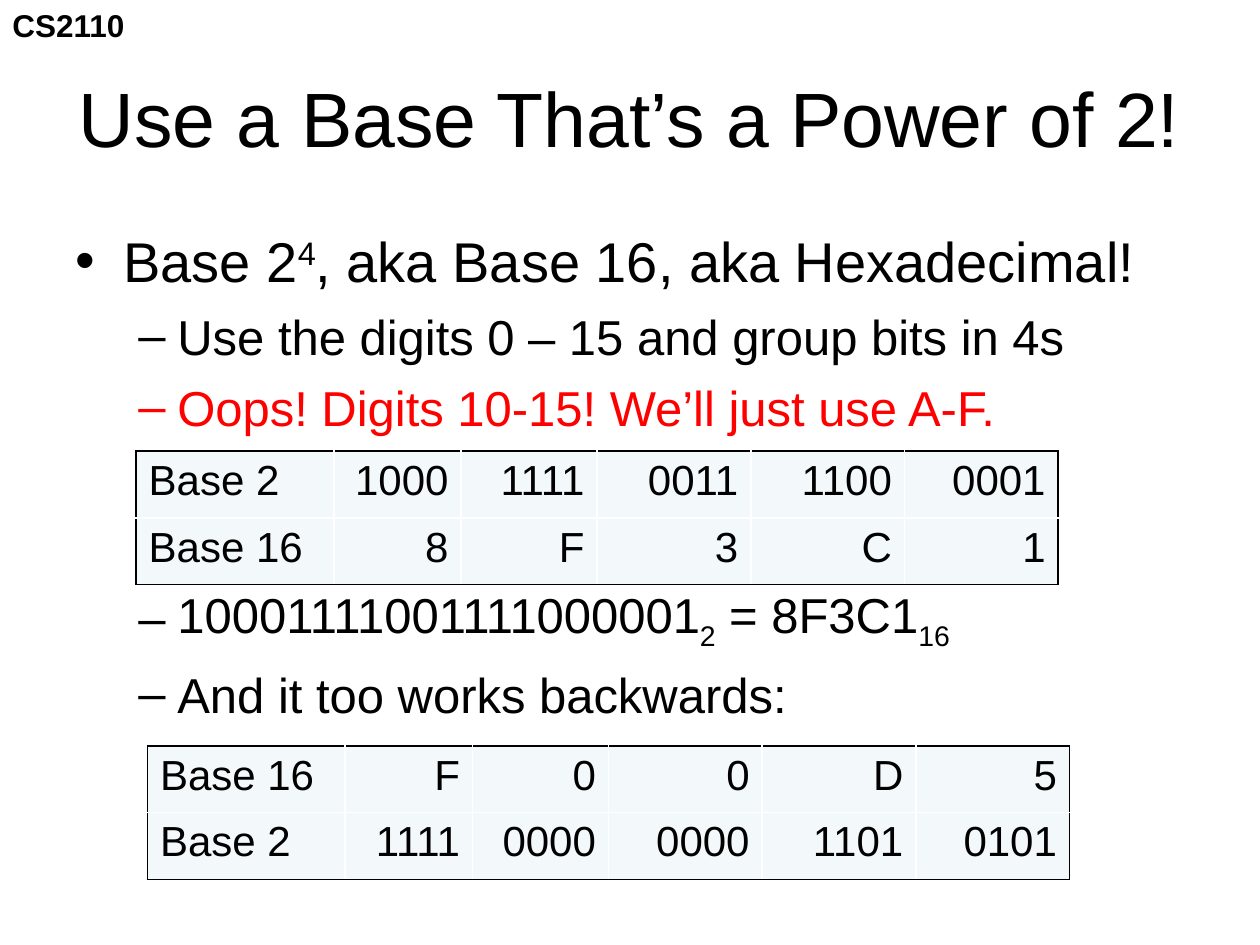
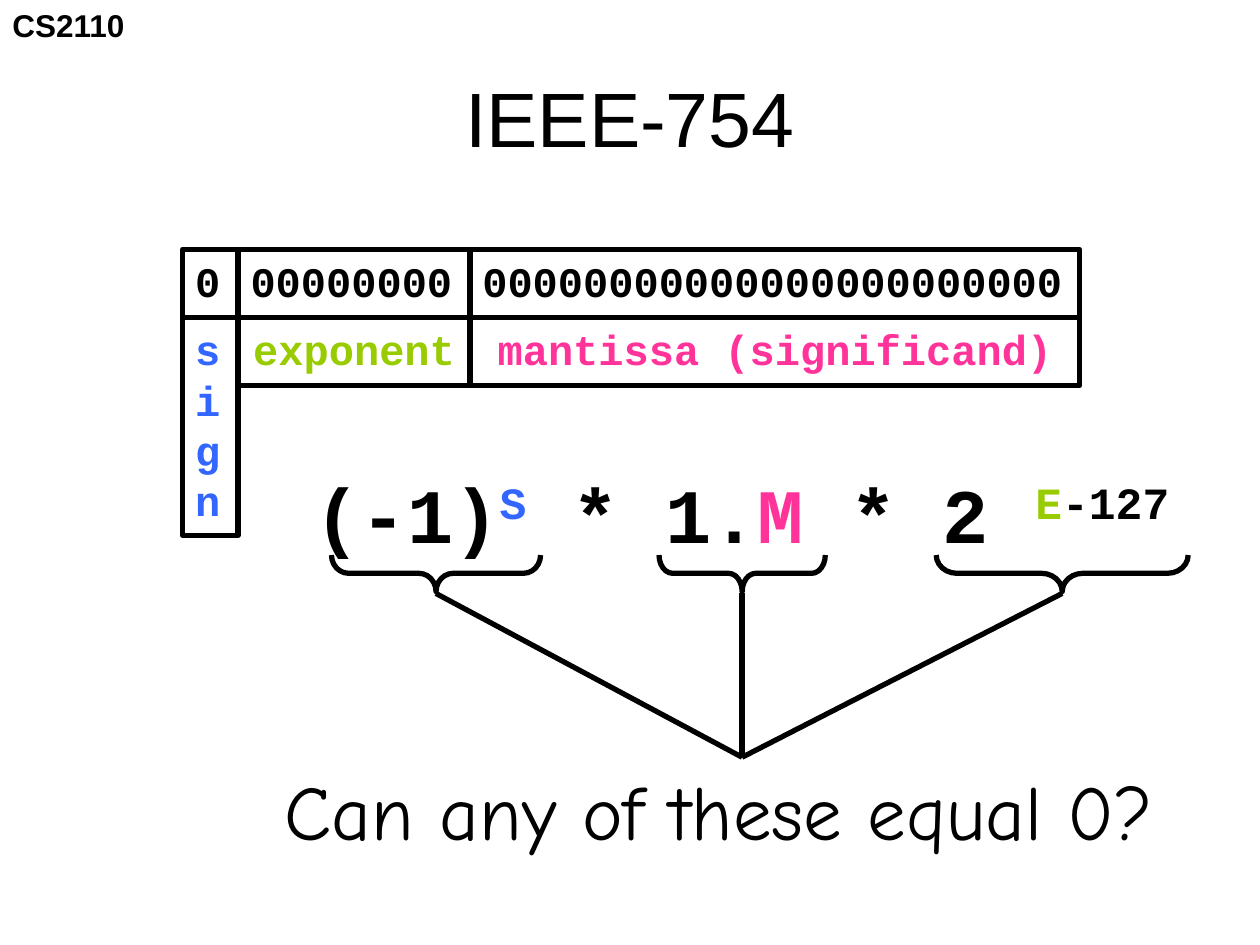
from dataclasses import dataclass
from typing import NamedTuple, Optional

from lxml.etree import SubElement
from pptx import Presentation
from pptx.dml.color import RGBColor
from pptx.enum.shapes import MSO_CONNECTOR as Connector
from pptx.enum.shapes import MSO_SHAPE as Preset
from pptx.enum.text import MSO_ANCHOR as Anchor
from pptx.enum.text import PP_ALIGN as Align
from pptx.oxml.ns import qn
from pptx.util import Emu, Inches, Pt

COLOURS = {
    "ink": "000000",
    "paper": "FFFFFF",
    "alert": "FF0000",
    "cell": "F3F9FA",
    "sign": "3366FF",
    "exponent": "99CC00",
    "mantissa": "FF3399",
}
SANS, MONO, HAND = "Arial", "Courier New", "Comic Neue"
COLUMNS, ROWS = 100, 75
SLIDE_WIDTH, SLIDE_HEIGHT = Inches(10), Inches(7.5)
HEAVY = Pt(3)


class Box(NamedTuple):
    left: float
    top: float
    width: float
    height: float


class Piece(NamedTuple):
    text: str
    colour: Optional[str] = None
    baseline: int = 0


class Style(NamedTuple):
    font: str
    size: float
    bold: bool = False
    colour: str = "ink"


@dataclass
class Bullet:
    pieces: list[Piece]
    level: int = 1
    colour: str = "ink"
    gap: float = 7


@dataclass
class Conversion:
    left: float
    top: float
    rows: list[list[str]]


@dataclass
class Field:
    bits: str
    label: list[str]
    colour: str
    width: float
    label_height: float
    align: Align


@dataclass
class Factor:
    centre: float
    span: float


def col(count: float) -> Emu:
    return Emu(round(SLIDE_WIDTH * count / COLUMNS))


def row(count: float) -> Emu:
    return Emu(round(SLIDE_HEIGHT * count / ROWS))


def place(box: Box) -> tuple[Emu, Emu, Emu, Emu]:
    return col(box.left), row(box.top), col(box.width), row(box.height)


def colour(name: str) -> RGBColor:
    return RGBColor.from_string(COLOURS[name])


def write(paragraph, pieces: list[Piece], style: Style, align: Align = Align.LEFT) -> None:
    paragraph.alignment = align
    font = paragraph.font
    font.name, font.size, font.bold = style.font, Pt(style.size), style.bold
    font.color.rgb = colour(style.colour)
    for piece in pieces:
        run = paragraph.add_run()
        run.text = piece.text
        if piece.colour:
            run.font.color.rgb = colour(piece.colour)
        if piece.baseline:
            run._r.get_or_add_rPr().set("baseline", str(piece.baseline * 1000))


def add_lines(frame, lines: list[str], style: Style, align: Align) -> None:
    for index, line in enumerate(lines):
        paragraph = frame.add_paragraph() if index else frame.paragraphs[0]
        write(paragraph, [Piece(line)], style, align)


def add_label(slide, box: Box, pieces: list[Piece], style: Style) -> None:
    frame = slide.shapes.add_textbox(*place(box)).text_frame
    frame.word_wrap = False
    write(frame.paragraphs[0], pieces, style)


def add_titled_slide(deck, heading: str):
    slide = deck.slides.add_slide(deck.slide_layouts[5])
    title = slide.shapes.title
    title.left, title.top, title.width, title.height = place(Box(5, 3, 90, 12.5))
    title.text_frame.vertical_anchor = Anchor.MIDDLE
    write(title.text_frame.paragraphs[0], [Piece(heading)], Style(SANS, 44), Align.CENTER)
    add_label(slide, Box(0, 0, 11, 4), [Piece("CS2110")], Style(SANS, 18, True))
    return slide


def add_bullets(slide, box: Box, bullets: list[Bullet]) -> None:
    levels = [("•", 32, 0.38, 0.38), ("–", 28, 0.81, 0.31)]
    frame = slide.shapes.add_textbox(*place(box)).text_frame
    frame.word_wrap = True
    for index, bullet in enumerate(bullets):
        mark, size, margin, hang = levels[bullet.level]
        paragraph = frame.add_paragraph() if index else frame.paragraphs[0]
        paragraph.space_before = Pt(bullet.gap)
        properties = paragraph._p.get_or_add_pPr()
        properties.set("marL", str(Inches(margin)))
        properties.set("indent", str(-Inches(hang)))
        SubElement(properties, qn("a:buFont")).set("typeface", SANS)
        SubElement(properties, qn("a:buChar")).set("char", mark)
        write(paragraph, bullet.pieces, Style(SANS, size, colour=bullet.colour))


def add_border(cell, edge: str, name: str) -> None:
    line = SubElement(cell._tc.get_or_add_tcPr(), qn(f"a:{edge}"), w=str(Pt(1)))
    fill = SubElement(line, qn("a:solidFill"))
    SubElement(fill, qn("a:srgbClr")).set("val", COLOURS[name])


def add_conversion(slide, conversion: Conversion) -> None:
    widths = [15.7, 10.1, 10.8, 12.2, 12.2, 12.2]
    height = 5.3
    last_row, last_column = len(conversion.rows) - 1, len(widths) - 1
    box = Box(conversion.left, conversion.top, sum(widths), height * len(conversion.rows))
    table = slide.shapes.add_table(len(conversion.rows), len(widths), *place(box)).table
    for column, width in zip(table.columns, widths):
        column.width = col(width)
    for r, values in enumerate(conversion.rows):
        table.rows[r].height = row(height)
        for c, value in enumerate(values):
            cell = table.cell(r, c)
            outer = {"lnL": c == 0, "lnR": c == last_column, "lnT": r == 0, "lnB": r == last_row}
            for edge, is_outer in outer.items():
                add_border(cell, edge, "ink" if is_outer else "paper")
            cell.fill.solid()
            cell.fill.fore_color.rgb = colour("cell")
            align = Align.RIGHT if c else Align.LEFT
            write(cell.text_frame.paragraphs[0], [Piece(value)], Style(SANS, 24), align)


def add_outline(slide, preset: Preset, box: Box):
    shape = slide.shapes.add_shape(preset, *place(box))
    shape.shadow.inherit = False
    shape.fill.background()
    shape.line.color.rgb = colour("ink")
    shape.line.width = HEAVY
    return shape


def add_field_cell(slide, box: Box, lines: list[str], name: str, align: Align) -> None:
    frame = add_outline(slide, Preset.RECTANGLE, box).text_frame
    frame.word_wrap = False
    frame.vertical_anchor = Anchor.TOP
    add_lines(frame, lines, Style(MONO, 24, True, name), align)


def add_fields(slide, left: float, top: float, fields: list[Field]) -> None:
    height = 5.4
    for field in fields:
        bits = Box(left, top, field.width, height)
        label = Box(left, top + height, field.width, field.label_height)
        add_field_cell(slide, bits, [field.bits], "ink", Align.LEFT)
        add_field_cell(slide, label, field.label, field.colour, field.align)
        left += field.width


def add_brace(slide, factor: Factor) -> None:
    depth, middle = 2.9, 45.5
    box = Box(factor.centre - depth / 2, middle - factor.span / 2, depth, factor.span)
    brace = add_outline(slide, Preset.RIGHT_BRACE, box)
    brace.rotation = 90
    brace.adjustments[0] = factor.span * 0.0283
    brace.adjustments[1] = 0.5


def add_ray(slide, start: tuple[float, float], end: tuple[float, float]) -> None:
    ray = slide.shapes.add_connector(
        Connector.STRAIGHT, col(start[0]), row(start[1]), col(end[0]), row(end[1])
    )
    ray.line.color.rgb = colour("ink")
    ray.line.width = HEAVY
    SubElement(ray._element.spPr, qn("a:effectLst"))


def build_hexadecimal(deck) -> None:
    slide = add_titled_slide(deck, "Use a Base That’s a Power of 2!")
    add_bullets(slide, Box(5, 17.5, 90, 55.8), [
        Bullet([Piece("Base 2"), Piece("4", baseline=30),
                Piece(", aka Base 16, aka Hexadecimal!")], level=0),
        Bullet([Piece("Use the digits 0 – 15 and group bits in 4s")]),
        Bullet([Piece("Oops! Digits 10-15! We’ll just use A-F.")], colour="alert"),
        Bullet([Piece("10001111001111000001"), Piece("2", baseline=-25),
                Piece(" = 8F3C1"), Piece("16", baseline=-25)], gap=85),
        Bullet([Piece("And it too works backwards:")]),
    ])
    add_conversion(slide, Conversion(10.8, 35.8, [
        ["Base 2", "1000", "1111", "0011", "1100", "0001"],
        ["Base 16", "8", "F", "3", "C", "1"],
    ]))
    add_conversion(slide, Conversion(11.7, 59.2, [
        ["Base 16", "F", "0", "0", "D", "5"],
        ["Base 2", "1111", "0000", "0000", "1101", "0101"],
    ]))


def build_floating_point(deck) -> None:
    slide = add_titled_slide(deck, "IEEE-754")
    add_fields(slide, 14.5, 19.8, [
        Field("0", list("sign"), "sign", 4.4, 17.3, Align.LEFT),
        Field("0" * 8, ["exponent"], "exponent", 18.4, 5.4, Align.CENTER),
        Field("0" * 23, ["mantissa (significand)"], "mantissa", 48.4, 5.4, Align.CENTER),
    ])
    add_label(slide, Box(24, 36.5, 71.4, 8.3), [
        Piece("(-1)"), Piece("S", "sign", 30), Piece(" * 1."), Piece("M", "mantissa"),
        Piece(" * 2 "), Piece("E", "exponent", 30), Piece("-127", baseline=30),
    ], Style(MONO, 44, True))
    question = (58.9, 60.1)
    for factor in [Factor(34.6, 16.6), Factor(58.9, 13.2), Factor(84.3, 20)]:
        add_brace(slide, factor)
        add_ray(slide, question, (factor.centre, 47.1))
    add_label(slide, Box(21.6, 60.1, 74.4, 8.3),
              [Piece("Can any of these equal 0?")], Style(HAND, 44))


deck = Presentation()
deck.slide_width, deck.slide_height = SLIDE_WIDTH, SLIDE_HEIGHT
build_hexadecimal(deck)
build_floating_point(deck)
deck.save("out.pptx")
